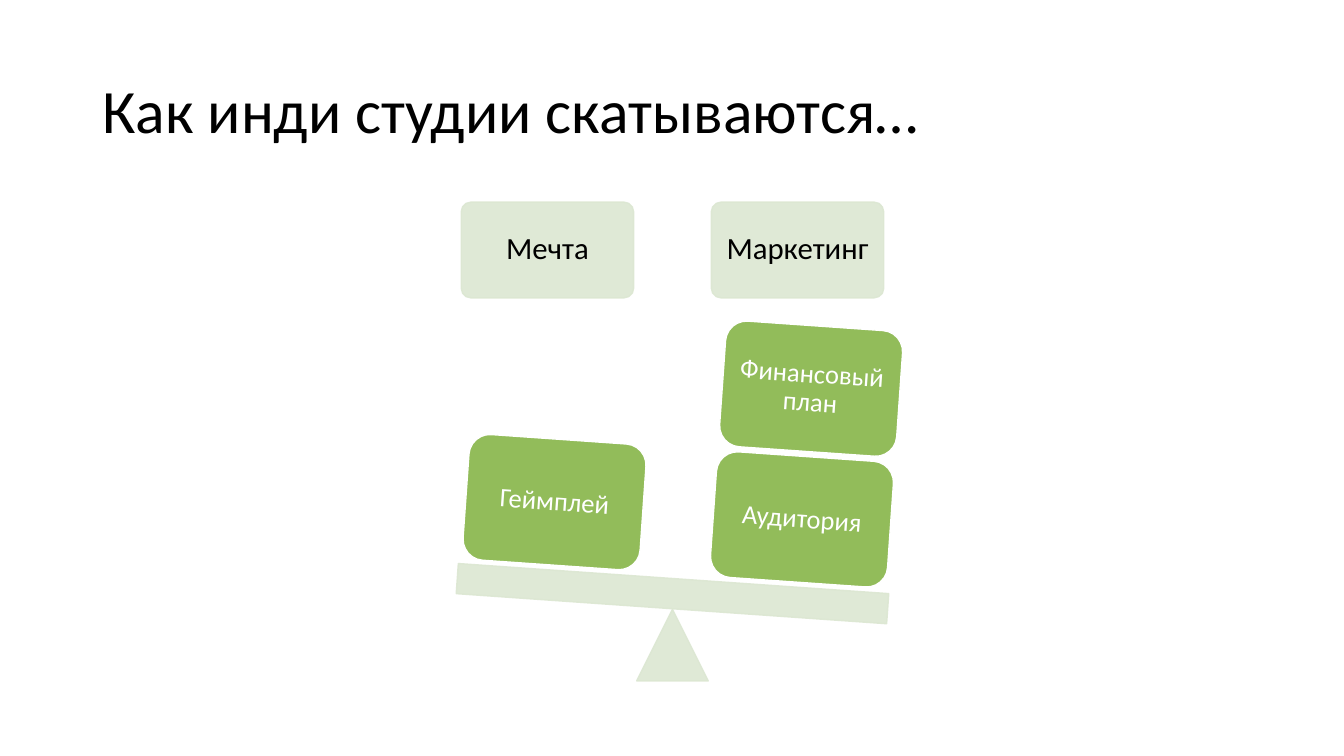
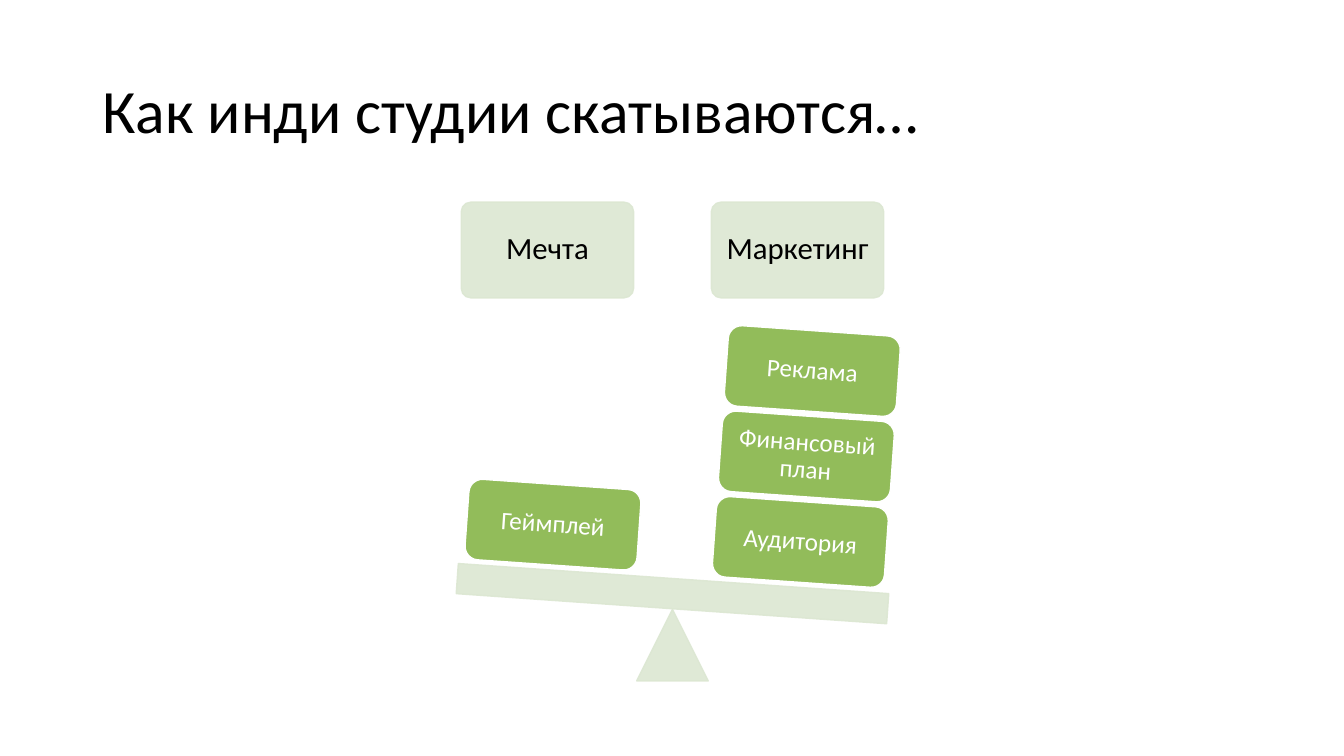
from math import cos, radians, sin

from lxml.etree import SubElement
from pptx import Presentation
from pptx.dml.color import RGBColor
from pptx.enum.shapes import MSO_SHAPE as SHAPE
from pptx.enum.text import MSO_ANCHOR as ANCHOR, PP_ALIGN as ALIGN
from pptx.oxml.ns import qn
from pptx.util import Inches, Pt

COLORS = {"text": "000000", "pale": "DCE7D2", "green": "92BC5A", "white": "FFFFFF"}
FONT = "Calibri"
TITLE = "Как инди студии скатываются…"
HEADERS = ["Мечта", "Маркетинг"]
SLIDES = [
    {"stacks": [["Геймплей"], ["Аудитория", "Финансовый план"]],
     "block": (1.76, 1.25), "size": 19, "inset": 0.08},
    {"stacks": [["Геймплей"], ["Аудитория", "Финансовый план", "Реклама"]],
     "block": (1.71, 0.8), "size": 18, "inset": 0.07},
]

CENTER_X, BEAM_Y = 6.67, 5.89
BEAM_W, BEAM_H = 4.28, 0.3
TILT = 4
ARM = 1.23
GAP = 0.05
HEADER_W, HEADER_H, HEADER_Y = 1.71, 0.95, 2.48
PIVOT, PIVOT_Y = 0.71, 6.4


def rgb(name):
    return RGBColor.from_string(COLORS[name])


def write(shape, text, size, color, align=ALIGN.CENTER, inset=None):
    tf = shape.text_frame
    tf.word_wrap = True
    tf.vertical_anchor = ANCHOR.MIDDLE
    if inset is not None:
        tf.margin_left = tf.margin_right = Inches(inset)
        tf.margin_top = tf.margin_bottom = Inches(inset)
    p = tf.paragraphs[0]
    p.text = text
    p.alignment = align
    p.line_spacing = 0.9
    p.font.name = FONT
    p.font.size = Pt(size)
    p.font.color.rgb = rgb(color)


def add_shape(s, kind, cx, cy, w, h, fill, line, rotation=0):
    sp = s.shapes.add_shape(kind, Inches(cx - w / 2), Inches(cy - h / 2),
                            Inches(w), Inches(h))
    sp.shadow.inherit = False
    sp.rotation = rotation
    sp.fill.solid()
    sp.fill.fore_color.rgb = rgb(fill)
    sp.line.color.rgb = rgb(line)
    sp.line.width = Pt(1)
    return sp


def add_pale(s, kind, cx, cy, w, h, rotation=0):
    sp = add_shape(s, kind, cx, cy, w, h, "pale", "pale", rotation)
    for color in sp.element.spPr.iter(qn("a:srgbClr")):
        SubElement(color, qn("a:alpha"), val="90000")
    return sp


def on_beam(along, up):
    a = radians(TILT)
    return (CENTER_X + along * cos(a) + up * sin(a),
            BEAM_Y + along * sin(a) - up * cos(a))


def add_title(s):
    box = s.shapes.add_textbox(Inches(0.92), Inches(0.4), Inches(11.5), Inches(1.45))
    write(box, TITLE, 44, "text", ALIGN.LEFT)


def add_scale(s):
    for side, header in zip((-1, 1), HEADERS):
        sp = add_pale(s, SHAPE.ROUNDED_RECTANGLE, CENTER_X + side * 1.24, HEADER_Y,
                      HEADER_W, HEADER_H)
        sp.adjustments[0] = 0.1
        write(sp, header, 22, "text", inset=0.09)
    add_pale(s, SHAPE.ISOSCELES_TRIANGLE, CENTER_X, PIVOT_Y, PIVOT, PIVOT)
    add_pale(s, SHAPE.RECTANGLE, CENTER_X, BEAM_Y, BEAM_W, BEAM_H, TILT)


def add_stacks(s, stacks, block, size, inset):
    w, h = block
    for side, labels in zip((-1, 1), stacks):
        for i, label in enumerate(labels):
            up = BEAM_H / 2 + GAP + h / 2 + i * (h + GAP)
            cx, cy = on_beam(side * ARM, up)
            sp = add_shape(s, SHAPE.ROUNDED_RECTANGLE, cx, cy, w, h,
                           "green", "white", TILT)
            write(sp, label, size, "white", inset=inset)


def main():
    prs = Presentation()
    prs.slide_width, prs.slide_height = Inches(13.33), Inches(7.5)
    for content in SLIDES:
        s = prs.slides.add_slide(prs.slide_layouts[6])
        add_title(s)
        add_scale(s)
        add_stacks(s, **content)
    prs.save("out.pptx")


if __name__ == "__main__":
    main()
